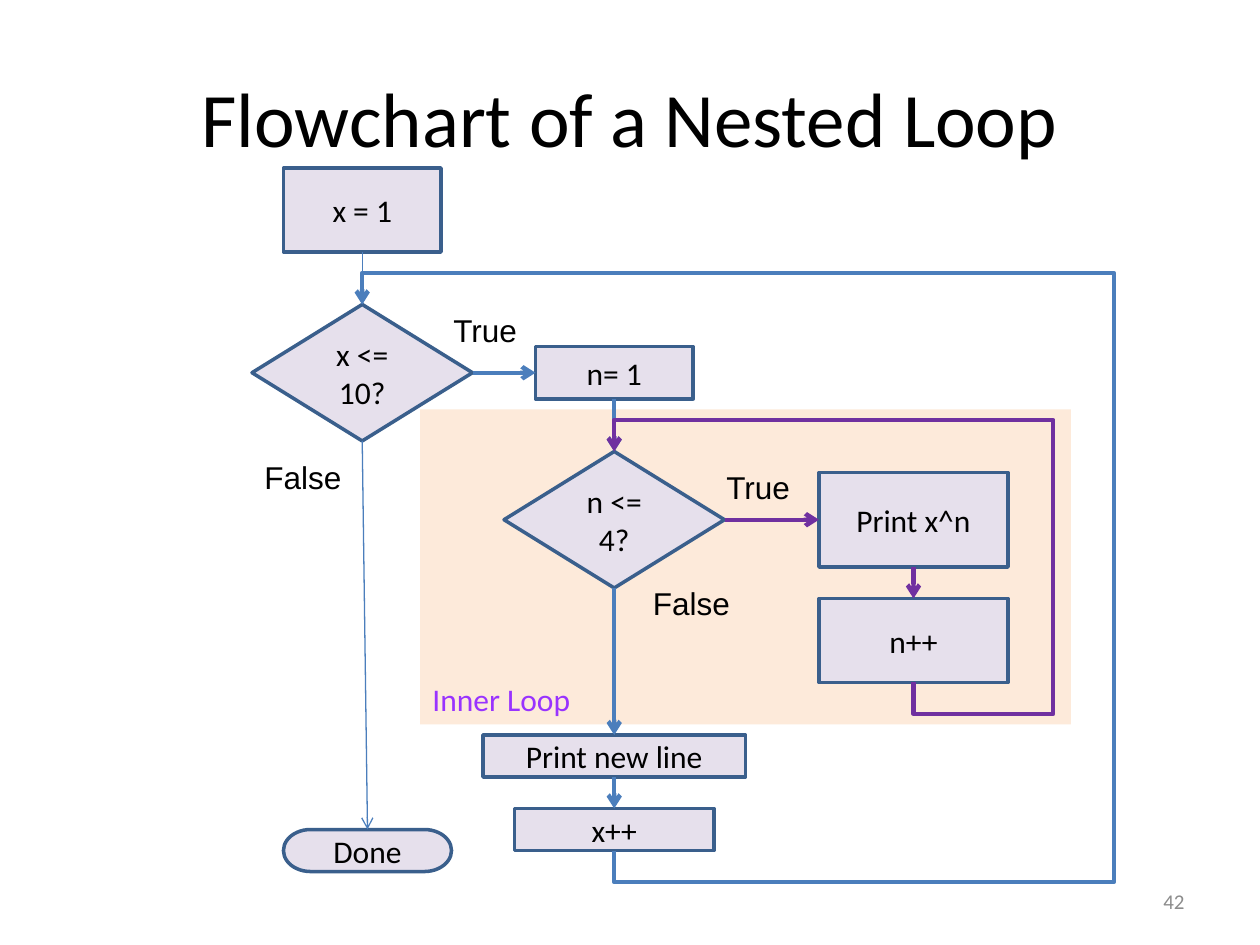
import pptx
import pptx.util
import pptx.dml.color
import pptx.enum.shapes
import pptx.enum.text
import pptx.oxml.ns
import lxml.etree

COLS, ROWS = 120, 90
UNIT = pptx.util.Inches(10) // COLS
KIND = pptx.enum.shapes.MSO_SHAPE
ALIGN = pptx.enum.text.PP_ALIGN
ANCHOR = pptx.enum.text.MSO_ANCHOR
CONNECTOR = pptx.enum.shapes.MSO_CONNECTOR
TOP, LEFT, BOTTOM, RIGHT = range(4)
BLUE, PURPLE = "4B7EBC", "7030A0"
BOX, CHOICE, END = KIND.FLOWCHART_PROCESS, KIND.FLOWCHART_DECISION, KIND.FLOWCHART_TERMINATOR

INNER = ("Inner Loop", (40, 39, 62, 30))
TITLE = ("Flowchart of a Nested Loop", (6, 3.6, 108, 15))
NUMBER = ("42", (86, 83.4, 28, 4.8))
NODES = {
    "start": ("x = 1", BOX, (27, 16, 15, 8)),
    "outer": ("x <= 10?", CHOICE, (24, 29, 21, 13)),
    "reset": ("n= 1", BOX, (51, 33, 15, 5)),
    "inner": ("n <= 4?", CHOICE, (48, 43, 21, 13)),
    "power": ("Print x^n", BOX, (78, 45, 18, 9)),
    "next n": ("n++", BOX, (78, 57, 18, 8)),
    "newline": ("Print new line", BOX, (46, 70, 25, 4)),
    "next x": ("x++", BOX, (49, 77, 19, 4)),
    "done": ("Done", END, (27, 79, 16, 4)),
}
ARROWS = [
    ("start", BOTTOM, "outer", TOP, BLUE, 0.75),
    ("outer", RIGHT, "reset", LEFT, BLUE, 2.5),
    ("reset", BOTTOM, "inner", TOP, BLUE, 2.5),
    ("inner", RIGHT, "power", LEFT, PURPLE, 2.5),
    ("inner", BOTTOM, "newline", TOP, BLUE, 2.5),
    ("newline", BOTTOM, "next x", TOP, BLUE, 2.5),
    ("power", BOTTOM, "next n", TOP, PURPLE, 2.5),
    ("outer", BOTTOM, "done", TOP, BLUE, 0.75),
]
LOOPS = [
    ("next n", "inner", PURPLE, 100.3),
    ("next x", "outer", BLUE, 106.1),
]
LOOP_GAP = 3
LABELS = [
    ("True", (42, 29, 8.5, 4.8)),
    ("False", (24, 43, 9.8, 4.8)),
    ("True", (68, 44, 8.5, 4.8)),
    ("False", (61, 55, 9.8, 4.8)),
]


def rgb(value):
    return pptx.dml.color.RGBColor.from_string(value)


def emu(lengths):
    return [round(n * UNIT) for n in lengths]


def write(sp, text, align, anchor, size=18, font="Calibri", color="000000", wrap=True):
    tf = sp.text_frame
    tf.word_wrap = wrap
    tf.vertical_anchor = anchor
    p = tf.paragraphs[0]
    p.alignment = align
    r = p.add_run()
    r.text = text
    for name, value in {"size": pptx.util.Pt(size), "name": font}.items():
        setattr(r.font, name, value)
    r.font.color.rgb = rgb(color)


def shape(kind, box, fill, line=None):
    sp = slide.shapes.add_shape(kind, *emu(box))
    sp.shadow.inherit = False
    sp.fill.solid()
    sp.fill.fore_color.rgb = rgb(fill)
    if line:
        sp.line.color.rgb = rgb(line)
        sp.line.width = pptx.util.Pt(2)
    else:
        sp.line.fill.background()
    return sp


def arrow(kind, source, out_site, target, in_site, color, width):
    cx = slide.shapes.add_connector(kind, 0, 0, 0, 0)
    cx.begin_connect(source, out_site)
    cx.end_connect(target, in_site)
    cx.line.color.rgb = rgb(color)
    cx.line.width = pptx.util.Pt(width)
    qn = pptx.oxml.ns.qn
    lxml.etree.SubElement(cx.line._get_or_add_ln(), qn("a:tailEnd"), type="arrow")
    lxml.etree.SubElement(cx._element.spPr, qn("a:effectLst"))
    return cx


def loop_back(source, target, color, lane):
    cx = arrow(CONNECTOR.ELBOW, source, BOTTOM, target, TOP, color, 2.5)
    x1, y1, x2, y2 = cx.begin_x, cx.begin_y, cx.end_x, cx.end_y
    width, height = y1 - y2, x1 - x2
    gap = LOOP_GAP * UNIT / width
    bends = (-gap, (x1 - lane * UNIT) / height, 1 + gap)
    place = {
        "left": (x1 + x2 - width) // 2,
        "top": (y1 + y2 - height) // 2,
        "width": width,
        "height": height,
    }
    for name, value in place.items():
        setattr(cx, name, value)
    qn = pptx.oxml.ns.qn
    xfrm = cx._element.spPr.find(qn("a:xfrm"))
    for name, value in {"rot": "5400000", "flipH": "1", "flipV": "0"}.items():
        xfrm.set(name, value)
    geom = cx._element.spPr.find(qn("a:prstGeom"))
    geom.set("prst", "bentConnector5")
    guides = geom.find(qn("a:avLst"))
    for i, bend in enumerate(bends, 1):
        lxml.etree.SubElement(guides, qn("a:gd"), name=f"adj{i}", fmla=f"val {round(bend * 100000)}")


prs = pptx.Presentation()
prs.slide_width, prs.slide_height = COLS * UNIT, ROWS * UNIT
slide = prs.slides.add_slide(prs.slide_layouts[6])

text, box = INNER
write(shape(KIND.RECTANGLE, box, "FDEADA"), text, ALIGN.LEFT, ANCHOR.BOTTOM, color="9933FF")

for (text, box), align, size, color in [
    (TITLE, ALIGN.CENTER, 44, "000000"),
    (NUMBER, ALIGN.RIGHT, 12, "8C8C8C"),
]:
    sp = slide.shapes.add_textbox(*emu(box))
    write(sp, text, align, ANCHOR.MIDDLE, size=size, color=color)

nodes = {}
for key, (text, kind, box) in NODES.items():
    nodes[key] = shape(kind, box, "E6E0EC", "3A5F8C")
    write(nodes[key], text, ALIGN.CENTER, ANCHOR.MIDDLE)

for source, out_site, target, in_site, color, width in ARROWS:
    arrow(CONNECTOR.STRAIGHT, nodes[source], out_site, nodes[target], in_site, color, width)

for source, target, color, lane in LOOPS:
    loop_back(nodes[source], nodes[target], color, lane)

for text, box in LABELS:
    sp = slide.shapes.add_textbox(*emu(box))
    write(sp, text, ALIGN.LEFT, ANCHOR.TOP, font="Arial", wrap=False)
    sp.text_frame.auto_size = pptx.enum.text.MSO_AUTO_SIZE.SHAPE_TO_FIT_TEXT

prs.save("out.pptx")
